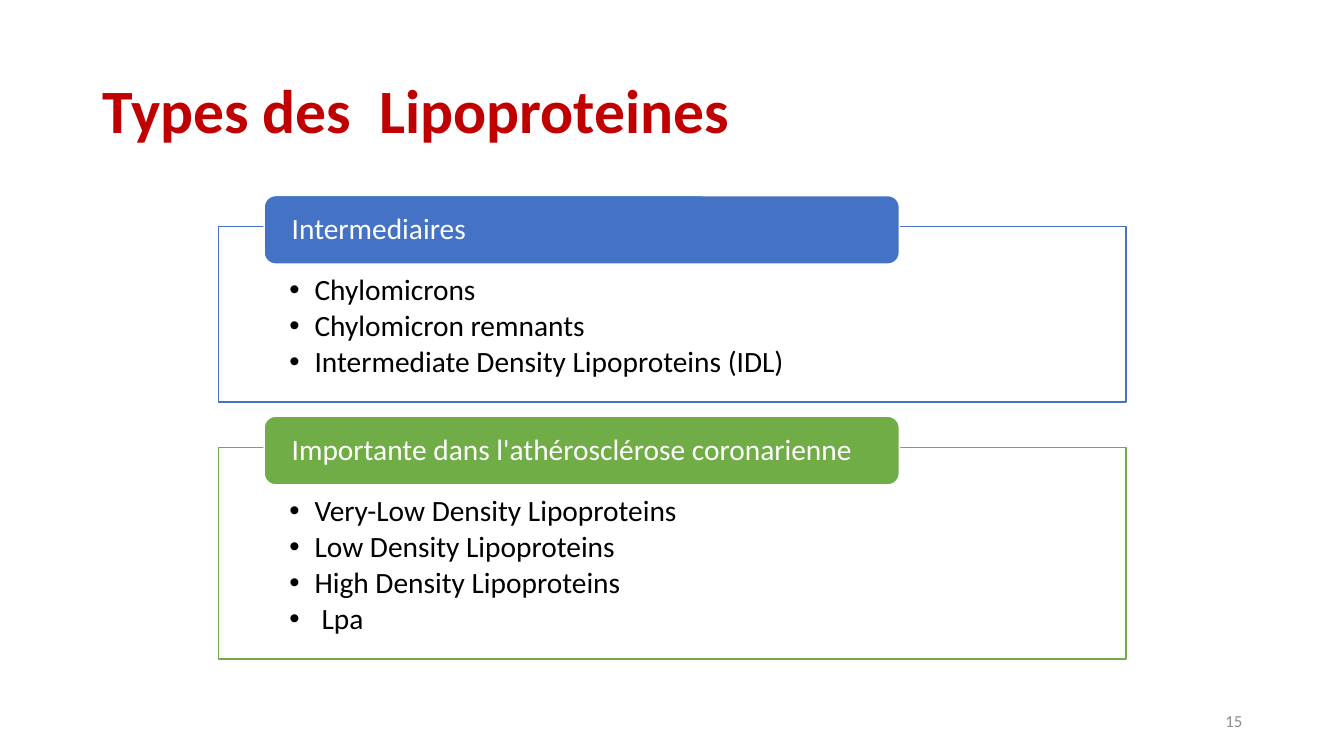
from lxml import etree
from pptx import Presentation
from pptx.dml.color import RGBColor
from pptx.enum.shapes import MSO_SHAPE
from pptx.enum.text import MSO_ANCHOR, PP_ALIGN
from pptx.oxml.ns import qn
from pptx.util import Inches, Pt

RECT, ROUND = MSO_SHAPE.RECTANGLE, MSO_SHAPE.ROUNDED_RECTANGLE
TOP, MIDDLE = MSO_ANCHOR.TOP, MSO_ANCHOR.MIDDLE
LEFT, RIGHT = PP_ALIGN.LEFT, PP_ALIGN.RIGHT

COLORS = {"red": "C00000", "blue": "4472C4", "green": "70AD47",
          "white": "FFFFFF", "black": "000000", "gray": "8C8C8C"}


class Deck:
    font = "Calibri"

    def __init__(self):
        self.prs = Presentation()
        self.prs.slide_width = Inches(13.33)
        self.prs.slide_height = Inches(7.5)
        self.slide = self.prs.slides.add_slide(self.prs.slide_layouts[6])

    def color(self, name):
        return RGBColor.from_string(COLORS[name])

    def shape(self, kind, box, fill, line):
        shape = self.slide.shapes.add_shape(kind, *map(Inches, box))
        shape.shadow.inherit = False
        shape.fill.solid()
        shape.fill.fore_color.rgb = self.color(fill)
        shape.line.color.rgb = self.color(line)
        shape.line.width = Pt(1)
        return shape

    def text(self, box, words, size, color, **style):
        label = self.slide.shapes.add_textbox(*map(Inches, box))
        self.letter(label, [words], size, color, **style)

    def letter(self, shape, lines, size, color, bold=False, anchor=MIDDLE,
               inset=(0.1, 0.05, 0.1, 0.05), align=LEFT, pitch=0.9, after=0, indents=()):
        frame = shape.text_frame
        sides = ("margin_left", "margin_top", "margin_right", "margin_bottom")
        layout = {"word_wrap": True, "vertical_anchor": anchor,
                  **dict(zip(sides, map(Inches, inset)))}
        for key, value in layout.items():
            setattr(frame, key, value)
        for i, words in enumerate(lines):
            para = frame.paragraphs[0] if i == 0 else frame.add_paragraph()
            form = {"text": words, "alignment": align, "line_spacing": pitch,
                    "space_before": Pt(0), "space_after": Pt(after)}
            for key, value in form.items():
                setattr(para, key, value)
            if indents:
                self.bullet(para, indents[i])
            look = {"name": self.font, "size": Pt(size), "bold": bold}
            font = para.runs[0].font
            for key, value in look.items():
                setattr(para.font, key, value)
                setattr(font, key, value)
            font.color.rgb = self.color(color)

    def bullet(self, para, indent):
        props = para._p.get_or_add_pPr()
        props.set("marL", str(Inches(indent)))
        props.set("indent", str(-Inches(indent)))
        etree.SubElement(props, qn("a:buFont")).set("typeface", "Arial")
        etree.SubElement(props, qn("a:buChar")).set("char", "•")

    def group(self, top, height, color, head, items):
        panel = self.shape(RECT, (2.17, top, 9, height), "white", color)
        self.letter(panel, [words for words, _ in items], 21, "black", anchor=TOP,
                    inset=(0.7, 0.48, 0.7, 0.16), after=3.15,
                    indents=[indent for _, indent in items])
        tab = self.shape(ROUND, (2.62, top - 0.31, 6.3, 0.68), color, "white")
        self.letter(tab, [head], 21, "white", inset=(0.24, 0, 0.24, 0))


def main():
    deck = Deck()

    # Title
    deck.text((0.92, 0.4, 11.5, 1.45), "Types des  Lipoproteines", 44, "red", bold=True)

    # Lipoprotein groups: each item with its indent
    deck.group(2.25, 1.74, "blue", "Intermediaires", [
        ("Chylomicrons", 0.25),
        ("Chylomicron remnants", 0.25),
        ("Intermediate Density Lipoproteins (IDL)", 0.25)])
    deck.group(4.44, 2.1, "green", "Importante dans l'athérosclérose coronarienne", [
        ("Very-Low Density Lipoproteins", 0.25),
        ("Low Density Lipoproteins", 0.25),
        ("High Density Lipoproteins", 0.25),
        ("Lpa", 0.32)])

    # Page number
    deck.text((9.42, 6.95, 3, 0.4), "15", 12, "gray", align=RIGHT, pitch=1.0)

    deck.prs.save("out.pptx")


if __name__ == "__main__":
    main()
